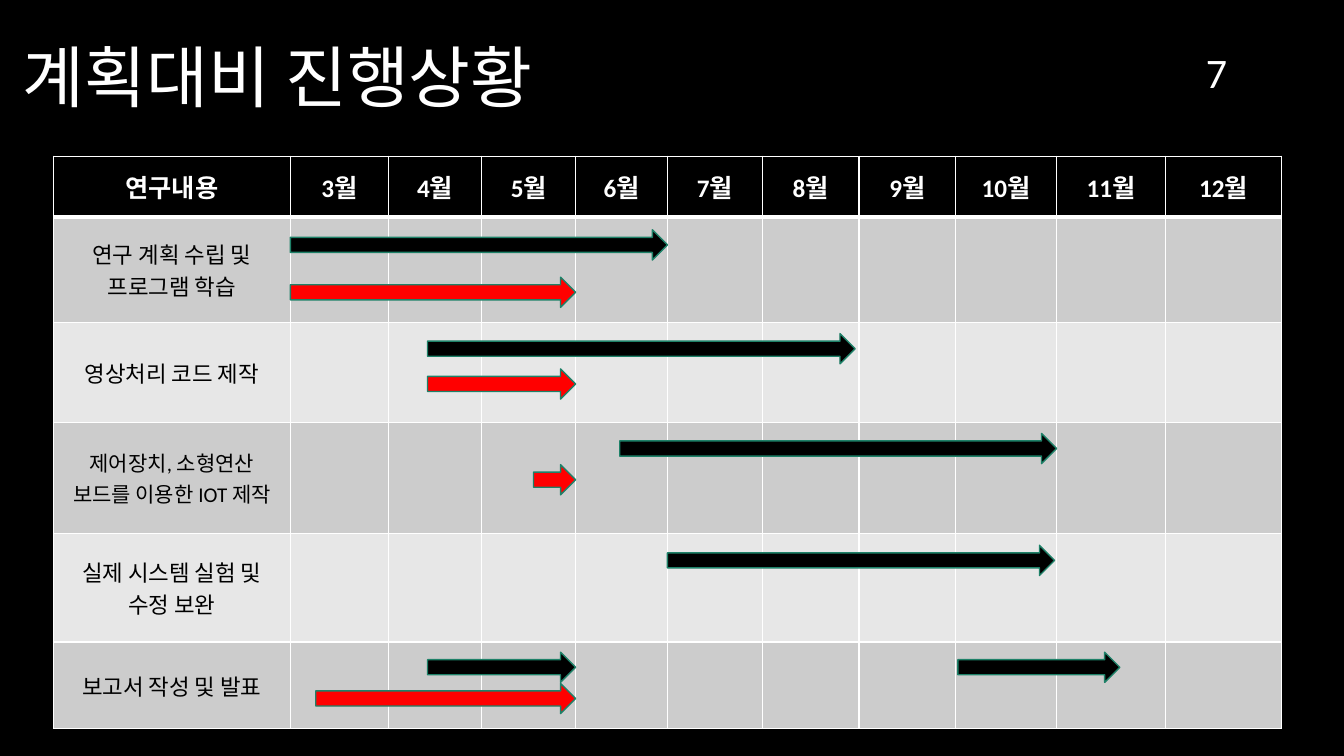
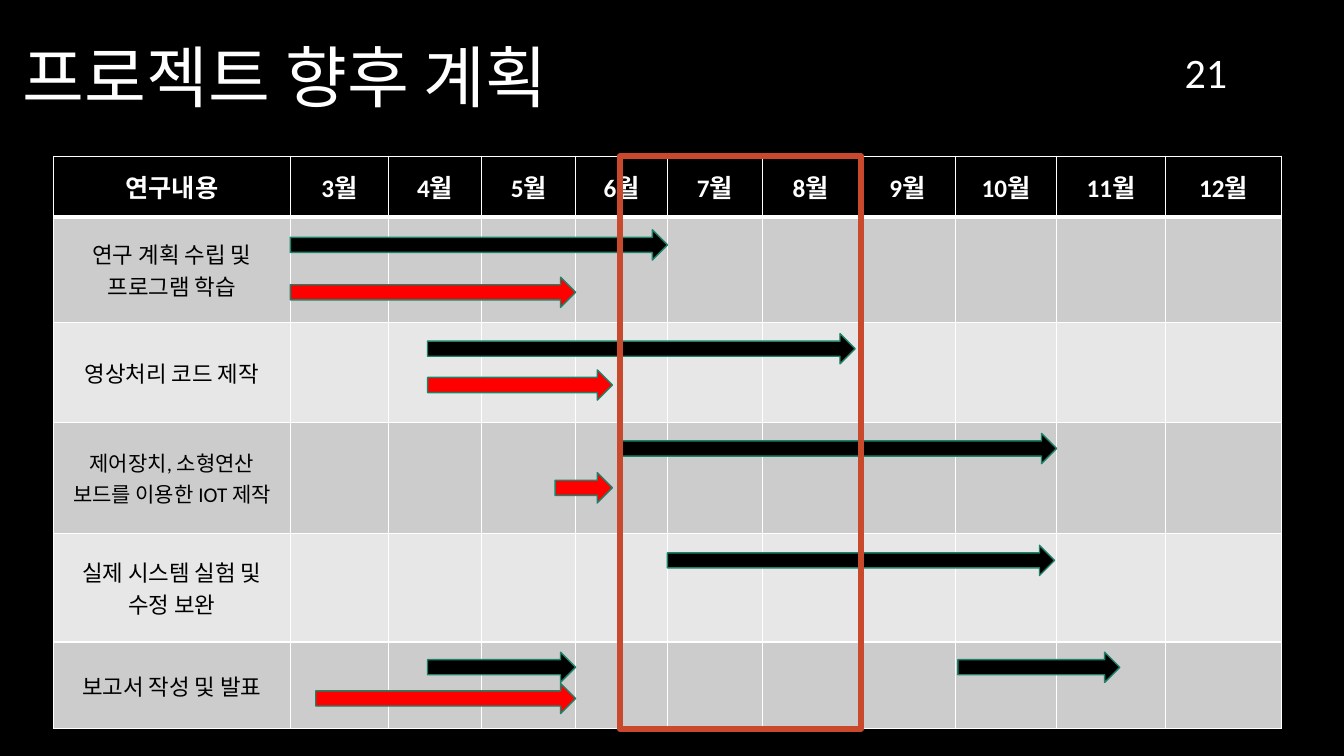
import pptx
import pptx.util
import pptx.dml.color
import pptx.enum.shapes
import pptx.enum.text
import lxml.etree

Inches = pptx.util.Inches
Pt = pptx.util.Pt
SHAPES = pptx.enum.shapes.MSO_SHAPE
ALIGN = pptx.enum.text.PP_ALIGN
MIDDLE = pptx.enum.text.MSO_ANCHOR.MIDDLE

BLACK, WHITE, RED = "000000", "FFFFFF", "FF0000"
BANDS = ["CCCCCC", "E7E7E7"]
ARROW_EDGE, FRAME = "1E8168", "C9492C"

# Shared text formats
TITLE = {"size": Pt(48), "name": "Calibri", "color": WHITE}
NUMBER = {**TITLE, "size": Pt(30)}
HEADER = {**TITLE, "size": Pt(18), "bold": True}
TASK = {**TITLE, "size": Pt(16), "bold": False, "color": BLACK}
SMALL_TASK = {**TASK, "size": Pt(15)}

# Schedule grid: label column, then March to December
LEFT, TOP = 0.53, 1.55
COLUMNS = [2.35, 0.97, 0.93, 0.93, 0.91, 0.94, 0.96, 0.96, 1, 1.08, 1.15]
ROWS = [0.6, 1.05, 0.99, 1.1, 1.08, 0.86]
FIRST_MONTH, LAST_MONTH = 3, 12
ARROW_HEIGHT = 0.3

TASKS = [
    (["연구 계획 수립 및", "프로그램 학습"], TASK),
    (["영상처리 코드 제작"], TASK),
    (["제어장치, 소형연산 보드를 이용한 IOT 제작"], SMALL_TASK),
    (["실제 시스템 실험 및 수정 보완"], TASK),
    (["보고서 작성 및 발표"], TASK),
]

# Arrows: task row, start month, end month, drop within the row, colour
SHARED_ARROWS = [
    (1, 3, 7, 0.13, BLACK),
    (1, 3, 6, 0.6, RED),
    (2, 4.42, 8.96, 0.11, BLACK),
    (3, 6.48, 11, 0.11, BLACK),
    (4, 7, 10.98, 0.12, BLACK),
    (5, 4.42, 6, 0.1, BLACK),
    (5, 10.02, 11.58, 0.1, BLACK),
    (5, 3.26, 6, 0.41, RED),
]
PROGRESS_ARROWS = [(2, 4.42, 6, 0.46, RED), (3, 5.55, 6, 0.42, RED)]
PLAN_ARROWS = [(3, 5.78, 6.4, 0.5, RED), (2, 4.42, 6.4, 0.47, RED)]


def colour(value):
    return pptx.dml.color.RGBColor.from_string(value)


def month_x(month):
    """Position of a month, whose fraction is a share of its column."""
    index = int(month) - FIRST_MONTH + 1
    return LEFT + sum(COLUMNS[:index]) + (month % 1) * COLUMNS[index]


def row_y(row):
    return TOP + sum(ROWS[:row])


def write(frame, lines, formats, align, spacing=None):
    frame.word_wrap = True
    frame.vertical_anchor = MIDDLE
    for number, line in enumerate(lines):
        para = frame.add_paragraph() if number else frame.paragraphs[0]
        para.alignment = align
        para.line_spacing = spacing
        span = para.add_run()
        span.text = line
        for name, value in formats.items():
            if name == "color":
                span.font.color.rgb = colour(value)
            else:
                setattr(span.font, name, value)


def add_text(page, box, text, formats, align, spacing=None):
    holder = page.shapes.add_textbox(*map(Inches, box))
    write(holder.text_frame, [text], formats, align, spacing)


def add_outlined(page, kind, box, fill, edge, width):
    shape = page.shapes.add_shape(kind, *map(Inches, box))
    shape.shadow.inherit = False
    if fill:
        shape.fill.solid()
        shape.fill.fore_color.rgb = colour(fill)
    else:
        shape.fill.background()
    shape.line.color.rgb = colour(edge)
    shape.line.width = Pt(width)


def paint_cell(cell, fill, top, bottom):
    cell.fill.solid()
    cell.fill.fore_color.rgb = colour(fill)
    properties = cell._tc.get_or_add_tcPr()
    # Borders stand before the fill
    sides = {"lnL": 1, "lnR": 1, "lnT": top, "lnB": bottom}
    for position, (side, width) in enumerate(sides.items()):
        line = properties.makeelement(pptx.oxml.ns.qn("a:" + side), {"w": str(Pt(width))})
        solid = lxml.etree.SubElement(line, pptx.oxml.ns.qn("a:solidFill"))
        lxml.etree.SubElement(solid, pptx.oxml.ns.qn("a:srgbClr"), {"val": WHITE})
        properties.insert(position, line)


def add_schedule(page):
    box = (LEFT, TOP, sum(COLUMNS), sum(ROWS))
    table = page.shapes.add_table(len(ROWS), len(COLUMNS), *map(Inches, box)).table
    for column, width in zip(table.columns, COLUMNS):
        column.width = Inches(width)
    for number, height in enumerate(ROWS):
        table.rows[number].height = Inches(height)
        fill = BANDS[(number - 1) % 2] if number else BLACK
        for cell in table.rows[number].cells:
            paint_cell(cell, fill, 3 if number == 1 else 1, 1 if number else 3)
    # Header row and task labels
    months = [f"{month}월" for month in range(FIRST_MONTH, LAST_MONTH + 1)]
    labels = [(0, column, [text], HEADER) for column, text in enumerate(["연구내용"] + months)]
    labels += [(row, 0, lines, formats) for row, (lines, formats) in enumerate(TASKS, 1)]
    for row, column, lines, formats in labels:
        cell = table.cell(row, column)
        cell.vertical_anchor = MIDDLE
        write(cell.text_frame, lines, formats, ALIGN.CENTER)


def add_arrows(page, arrows):
    for row, start, end, drop, fill in arrows:
        left = month_x(start)
        box = (left, row_y(row) + drop, month_x(end) - left, ARROW_HEIGHT)
        add_outlined(page, SHAPES.RIGHT_ARROW, box, fill, ARROW_EDGE, 1)


def add_period_frame(page, start, end):
    left = month_x(start)
    box = (left, TOP, month_x(end) - left, sum(ROWS))
    add_outlined(page, SHAPES.RECTANGLE, box, None, FRAME, 4.5)


def add_schedule_page(deck, title, number, arrows, period=None):
    page = deck.slides.add_slide(deck.slide_layouts[6])
    page.background.fill.solid()
    page.background.fill.fore_color.rgb = colour(BLACK)
    add_text(page, (9.27, 0.51, 3, 0.4), number, NUMBER, ALIGN.RIGHT)
    add_text(page, (0.13, 0.3, 9, 1), title, TITLE, ALIGN.LEFT, 0.9)
    add_schedule(page)
    add_arrows(page, SHARED_ARROWS + arrows)
    if period:
        add_period_frame(page, *period)


def main():
    deck = pptx.Presentation()
    deck.slide_width, deck.slide_height = Inches(13.33), Inches(7.5)
    add_schedule_page(deck, "계획대비 진행상황", "7", PROGRESS_ARROWS)
    add_schedule_page(deck, "프로젝트 향후 계획", "21", PLAN_ARROWS, (6.48, 9.02))
    deck.save("out.pptx")


if __name__ == "__main__":
    main()
